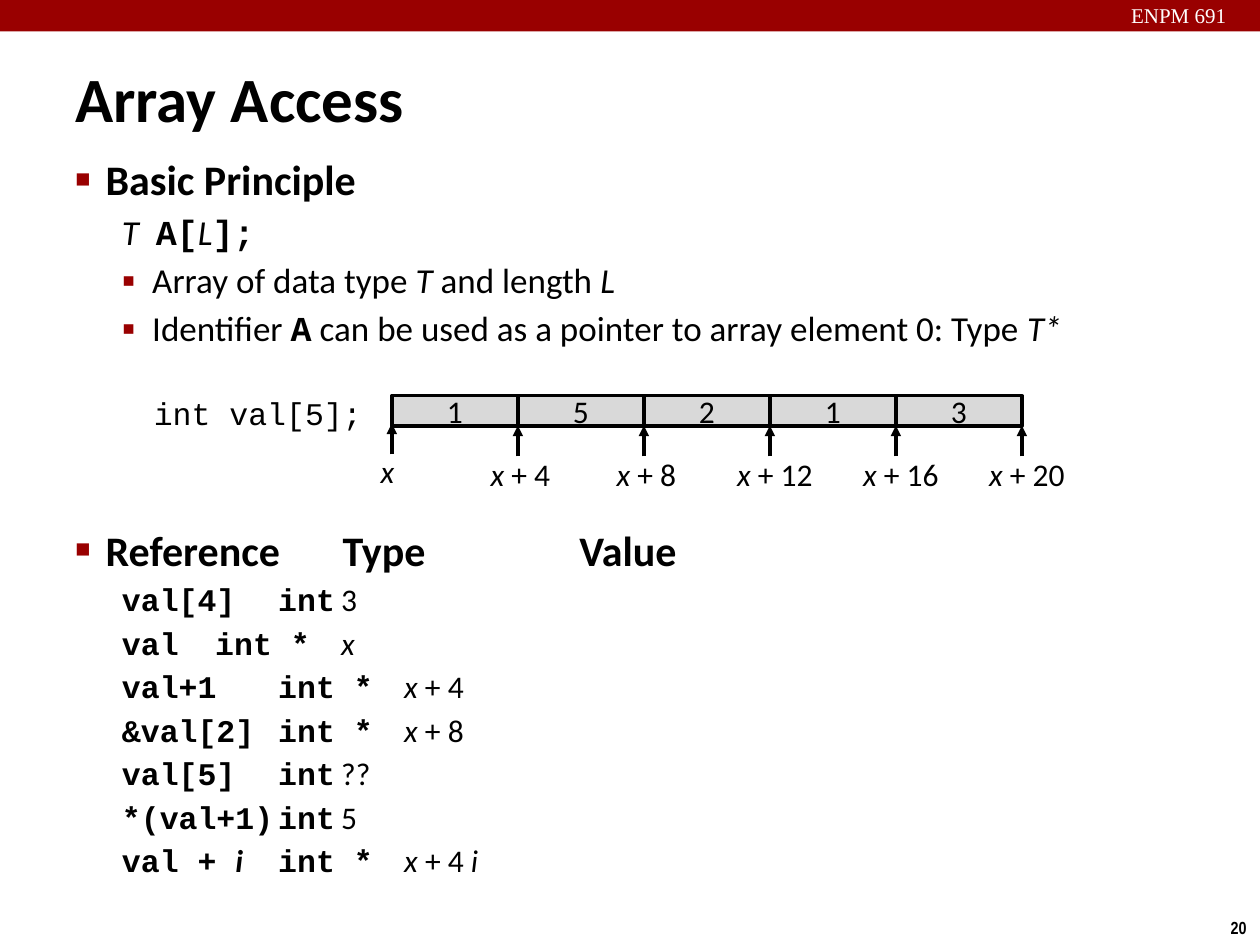
import pptx
import pptx.util
import pptx.dml.color
import pptx.enum.shapes
import pptx.enum.text
import pptx.oxml.ns
from lxml import etree

Pt = pptx.util.Pt
Align = pptx.enum.text.PP_ALIGN
Anchor = pptx.enum.text.MSO_ANCHOR
Shape = pptx.enum.shapes.MSO_SHAPE
qn = pptx.oxml.ns.qn

HUES = {"red": "990000", "black": "000000", "white": "FFFFFF", "gray": "D9D9D9"}
SANS, MONO = "Calibri", "Courier New"
LEFT, STEP, TOP, HIGH = 223.92, 72, 226.08, 17.28


def hue(name):
    return pptx.dml.color.RGBColor.from_string(HUES[name])


def add_runs(para, runs, size, color="black", font=SANS):
    """Each run is (text, style[, size]); styles: b bold, i italic, m mono."""
    for text, style, *own in runs:
        run = para.add_run()
        run.text = text
        run.font.name = MONO if "m" in style else font
        run.font.size = Pt(own[0] if own else size)
        run.font.bold = "b" in style
        run.font.italic = "i" in style
        run.font.color.rgb = hue(color)


def add_box(slide, place, runs, size, align=Align.CENTER, color="black",
            font=SANS, wrap=True, anchor=Anchor.TOP):
    box = slide.shapes.add_textbox(*map(Pt, place))
    frame = box.text_frame
    frame.word_wrap = wrap
    frame.vertical_anchor = anchor
    para = frame.paragraphs[0]
    para.alignment = align
    add_runs(para, runs, size, color, font)
    return box


def add_rect(slide, place, fill, line=None):
    rect = slide.shapes.add_shape(Shape.RECTANGLE, *map(Pt, place))
    rect.shadow.inherit = False
    rect.fill.solid()
    rect.fill.fore_color.rgb = hue(fill)
    if line:
        rect.line.color.rgb = hue(line)
        rect.line.width = Pt(2)
    else:
        rect.line.fill.background()
    return rect


def add_arrow(slide, x, low, high):
    kind = pptx.enum.shapes.MSO_CONNECTOR.STRAIGHT
    arrow = slide.shapes.add_connector(kind, Pt(x), Pt(low), Pt(x), Pt(high))
    arrow.line.color.rgb = hue("black")
    arrow.line.width = Pt(2)
    etree.SubElement(arrow.line._get_or_add_ln(), qn("a:tailEnd"), type="triangle")
    etree.SubElement(arrow._element.spPr, qn("a:effectLst"))


def set_para(para, indent, bullet=None, scale=100, tabs=()):
    """Hanging indent, red bullet and tab stops, in schema order."""
    props = para._p.get_or_add_pPr()
    props.set("marL", str(Pt(indent)))
    props.set("indent", str(Pt(-17.28)))
    if bullet:
        tint = etree.SubElement(props, qn("a:buClr"))
        etree.SubElement(tint, qn("a:srgbClr"), val=HUES["red"])
        etree.SubElement(props, qn("a:buSzPct"), val=str(scale * 1000))
        etree.SubElement(props, qn("a:buFont"), typeface="Arial")
        etree.SubElement(props, qn("a:buChar"), char=bullet)
    else:
        etree.SubElement(props, qn("a:buNone"))
    if tabs:
        stops = etree.SubElement(props, qn("a:tabLst"))
        for stop in tabs:
            etree.SubElement(stops, qn("a:tab"), pos=str(Pt(stop)), algn="l")


def add_body(slide):
    head = dict(indent=17.28, bullet="\u25a0", scale=60, tabs=(152.64, 288))
    dot = dict(indent=43.92, bullet="\u25aa", scale=110)
    plain = dict(indent=43.92)
    row = dict(indent=43.92, tabs=(114.5, 185))
    x = ("x", "i")
    rows = [
        [("val[4]\tint\t", "bm"), ("3", "")],
        [("val\tint *\t", "bm"), x],
        [("val+1\tint *\t", "bm"), x, (" + 4", "")],
        [("&val[2]\tint *\t", "bm"), x, (" + 8", "")],
        [("val[5]\tint\t", "bm"), ("??", "")],
        [("*(val+1)\tint\t", "bm"), ("5", "")],
        [("val + ", "bm"), ("i\t", "bi"), ("int *\t", "bm"),
         ("x ", "i"), ("+ 4 ", ""), ("i", "i")],
    ]
    # Layout, size, space before, runs
    lines = [
        (head, 24, 4.4, [("Basic Principle", "b")]),
        (plain, 20, 3.6, [("T", "i"), (" ", "m", 16), ("A[", "bm"),
                          ("L", "i"), ("];", "bm")]),
        (dot, 20, 3.6, [("Array of data type ", ""), ("T", "i"),
                        (" and length ", ""), ("L", "i")]),
        (dot, 20, 3.6, [("Identifier ", ""), ("A", "bm"),
                        (" can be used as a pointer to array element 0: Type ", ""),
                        ("T*", "i")]),
        (head, 24, 100, [("Reference\tType\tValue", "b")]),
    ] + [(row, 18, 3.3, runs) for runs in rows]

    frame = slide.shapes.add_textbox(Pt(36), Pt(84.24), Pt(635), Pt(450)).text_frame
    frame.word_wrap = True
    for at, (form, size, gap, runs) in enumerate(lines):
        para = frame.add_paragraph() if at else frame.paragraphs[0]
        para.space_before = Pt(gap)
        set_para(para, **form)
        add_runs(para, runs, size)


def add_array(slide):
    add_box(slide, (79.92, 221.76, 133.92, 28.8), [("int val[5];", "m")], 18, Align.RIGHT)
    # Cells
    for at, value in enumerate("15213"):
        cell = add_rect(slide, (LEFT + at * STEP, TOP, STEP, HIGH), "gray", "black")
        frame = cell.text_frame
        frame.word_wrap = False
        frame.vertical_anchor = Anchor.MIDDLE
        frame.paragraphs[0].alignment = Align.CENTER
        add_runs(frame.paragraphs[0], [(value, "")], 18)
    # Addresses
    for at in range(6):
        edge = LEFT + at * STEP
        drop = 1.2 if at else 0
        add_arrow(slide, edge, 259.6 + drop, 242 + drop)
        if at:
            mid = edge + (1.4 if at < 3 else 2.9)
            place = (mid - 39, 256.32, 78, 28.8)
            runs = [("x ", "i"), (f"+ {4 * at}", "")]
        else:
            place, runs = (205.92, 254.88, 30.96, 28.8), [("x", "i")]
        add_box(slide, place, runs, 18)


def main():
    deck = pptx.Presentation()
    deck.slide_width, deck.slide_height = Pt(720), Pt(540)
    slide = deck.slides.add_slide(deck.slide_layouts[6])
    # Frame
    add_rect(slide, (0, 0, 720, 18), "red")
    add_box(slide, (622, -2.2, 103, 21.6), [("ENPM 691", "")], 12,
            color="white", font="Times New Roman")
    add_box(slide, (695.5, 520.5, 24.5, 19.4), [("20", "b")], 10,
            font="Arial Narrow", wrap=False)
    # Content
    add_box(slide, (36, 33.1, 437.8, 45.4), [("Array Access", "b")], 36,
            Align.LEFT, anchor=Anchor.MIDDLE)
    add_body(slide)
    add_array(slide)
    deck.save("out.pptx")


main()
